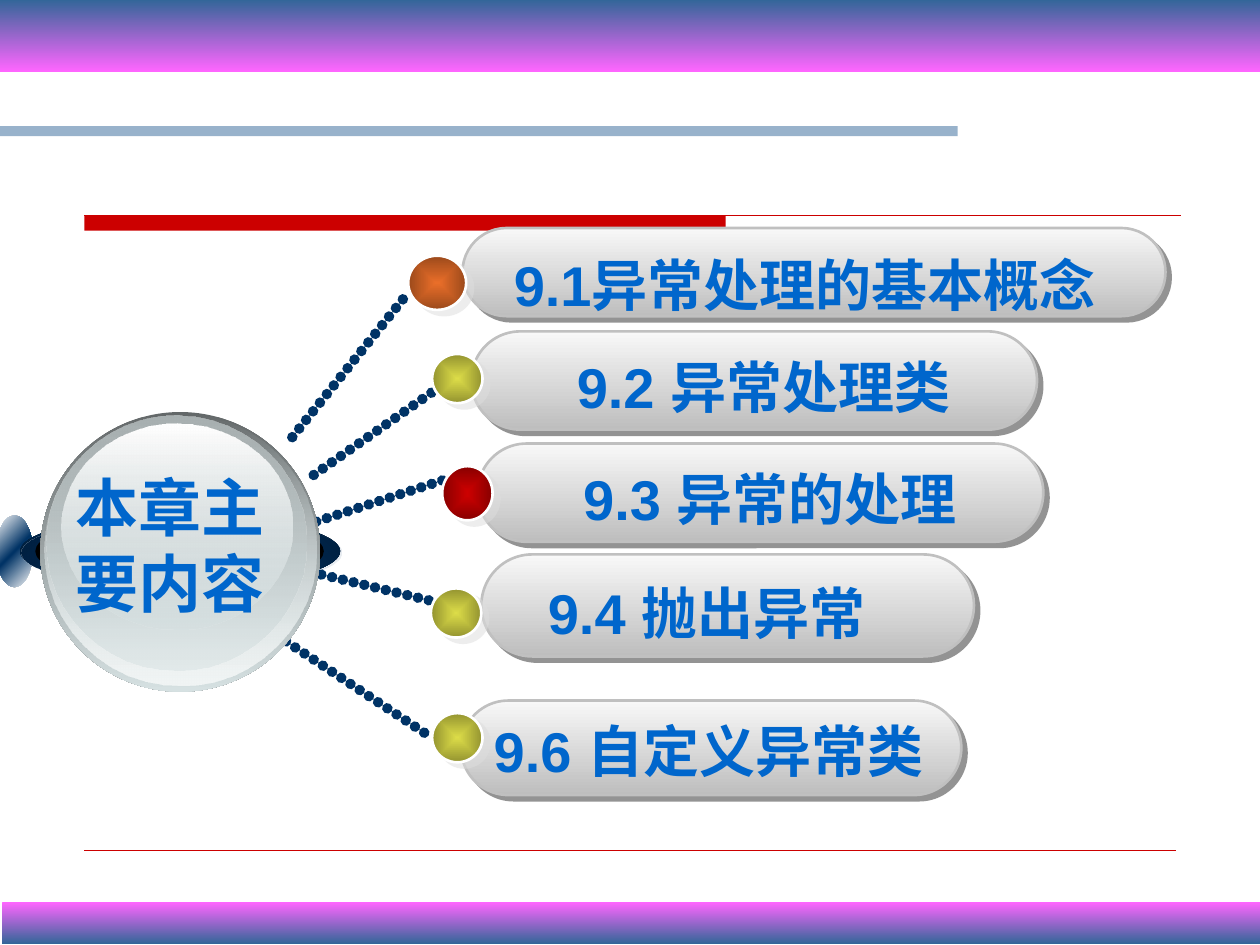
from lxml import etree
from pptx import Presentation
from pptx import util as u
from pptx.dml.color import RGBColor
from pptx.enum import shapes as kinds, text as styles
from pptx.oxml import ns

COLORS = {
    "red": "CC0000", "dark_red": "880000", "blue": "336699", "navy": "003366",
    "deep_navy": "001C37", "soft_navy": "002041", "pink": "FF66FF", "text": "0066CC",
    "white": "FFFFFF", "black": "000000", "silver": "C0C0C0",
    "pill_top": "F8F8F8", "pill_bottom": "BEBEBE",
    "pill_shadow": "292929", "dot_shadow": "DDDDDD",
    "orange": "E96E29", "dark_orange": "9B491B",
    "yellow": "DCDC48", "dark_yellow": "939330",
    "steel": "636869", "mist": "D6E1E2", "pale": "F1F5F5", "gray": "AAB2B3",
}
OVAL = kinds.MSO_SHAPE.OVAL
RECTANGLE = kinds.MSO_SHAPE.RECTANGLE
PILL = kinds.MSO_SHAPE.ROUNDED_RECTANGLE

# Pill box, label box, label, first-line indent, wrap
TOPICS = [
    ((3.67, 1.81, 5.58, 0.7), (3.98, 1.78, 4.96, 0.8), "9.1异常处理的基本概念", 0, True),
    ((3.74, 2.63, 4.49, 0.78), (4.23, 2.59, 3.5, 1.49), "9.2 异常处理类", 0.25, True),
    ((3.79, 3.52, 4.49, 0.78), (4.28, 3.48, 3.56, 0.8), "9.3 异常的处理", 0.25, True),
    ((3.82, 4.4, 3.91, 0.81), (4.25, 4.38, 2.83, 0.8), "9.4 抛出异常", 0, False),
    ((3.66, 5.56, 3.97, 0.75), (3.82, 5.48, 5.11, 0.8), "9.6 自定义异常类", 0, True),
]
DOTS = [
    ((3.24, 2.03, 0.46, 0.43), "orange"),
    ((3.43, 2.81, 0.4, 0.39), "yellow"),
    ((3.51, 3.7, 0.4, 0.43), "red"),
    ((3.42, 4.67, 0.4, 0.39), "yellow"),
    ((3.43, 5.66, 0.4, 0.39), "yellow"),
]
SPOKES = [
    ((2.32, 3.47), (3.25, 2.31)),
    ((2.49, 3.77), (3.62, 2.98)),
    ((2.51, 4.14), (3.55, 3.8)),
    ((2.55, 4.56), (3.51, 4.79)),
    ((2.27, 5.09), (3.42, 5.85)),
]
# Box, gradient stops (position, colour, opacity) and angle, from back to front
SPHERE = [
    ((-0.03, 4.09, 0.29, 0.57), [(0, "white", 100), (50, "navy", 100), (100, "white", 100)], 45),
    ((0.16, 4.09, 2.54, 0.57),
     [(0, "deep_navy", 100), (50, "navy", 100), (100, "deep_navy", 100)], 315),
    ((0.17, 4.1, 2.54, 0.57), [(0, "soft_navy", 100), (100, "navy", 0)], 45),
    ((0.28, 4.09, 2.29, 0.57), [(0, "black", 100), (100, "black", 100)], 90),
    ((0.32, 3.27, 2.22, 2.22), [(0, "steel", 100), (100, "mist", 100)], 90),
    ((0.35, 3.28, 2.16, 2.16), [(0, "mist", 0), (100, "pale", 100)], 90),
    ((0.37, 3.3, 2.06, 2.02), [(0, "gray", 100), (100, "mist", 48)], 90),
    ((0.49, 3.36, 1.83, 1.64), [(0, "white", 100), (100, "mist", 38)], 90),
]


def rgb(name):
    return RGBColor.from_string(COLORS[name])


def add_child(parent, tag, **attributes):
    element = etree.SubElement(parent, ns.qn(tag))
    for key, value in attributes.items():
        element.set(key, str(value))
    return element


def add_color(parent, name, opacity=100):
    color = add_child(parent, "a:srgbClr", val=COLORS[name])
    if opacity < 100:
        add_child(color, "a:alpha", val=opacity * 1000)


def set_gradient(shape, stops, angle=None):
    """Linear gradient, or one from the centre when no angle is given."""
    shape.fill.background()
    empty = shape._element.spPr.find(ns.qn("a:noFill"))
    gradient = etree.Element(ns.qn("a:gradFill"), rotWithShape="1")
    stop_list = add_child(gradient, "a:gsLst")
    for position, name, opacity in stops:
        add_color(add_child(stop_list, "a:gs", pos=position * 1000), name, opacity)
    if angle is None:
        center = add_child(gradient, "a:path", path="rect")
        add_child(center, "a:fillToRect", l=50000, t=50000, r=50000, b=50000)
    else:
        add_child(gradient, "a:lin", ang=angle * 60000, scaled=0)
    empty.getparent().replace(empty, gradient)


def set_shadow(shape, name, distance, angle):
    effects = shape._element.spPr.find(ns.qn("a:effectLst"))
    shadow = add_child(effects, "a:outerShdw", dist=u.Pt(distance), dir=angle * 60000,
                       algn="ctr", rotWithShape=0)
    add_color(shadow, name, 50)


def add_box(container, kind, box, line=None):
    shape = container.shapes.add_shape(kind, *map(u.Inches, box))
    shape.shadow.inherit = False
    if line:
        shape.line.color.rgb = rgb(line)
        shape.line.width = u.Pt(1.5)
    else:
        shape.line.fill.background()
    return shape


def add_line(slide, start, end, name, width, dotted=False):
    line = slide.shapes.add_connector(
        kinds.MSO_CONNECTOR.STRAIGHT, *map(u.Inches, start + end))
    line.line.color.rgb = rgb(name)
    line.line.width = u.Pt(width)
    if dotted:
        outline = line.line._ln
        outline.set("cap", "rnd")
        add_child(add_child(outline, "a:custDash"), "a:ds", d=100000, sp=5000)
    add_child(line._element.spPr, "a:effectLst")


def add_text(slide, box, words, size=32, font="Arial", spacing=1.3, indent=0, wrap=True,
             anchor=styles.MSO_ANCHOR.TOP):
    frame = slide.shapes.add_textbox(*map(u.Inches, box)).text_frame
    frame.word_wrap = wrap
    frame.vertical_anchor = anchor
    paragraph = frame.paragraphs[0]
    paragraph.text = words
    paragraph.line_spacing = spacing
    if indent:
        paragraph._p.get_or_add_pPr().set("indent", str(u.Inches(indent)))
    for run in paragraph.runs:
        run.font.name = font
        run.font.size = u.Pt(size)
        run.font.bold = True
        run.font.color.rgb = rgb("text")
        add_child(run.font._element, "a:ea", typeface="Noto Sans CJK SC")


def add_topic(slide, pill_box, label_box, label, indent, wrap):
    pill = add_box(slide, PILL, pill_box, line="silver")
    pill.adjustments[0] = 0.5
    set_gradient(pill, [(0, "pill_top", 100), (100, "pill_bottom", 100)], 90)
    set_shadow(pill, "pill_shadow", 4.2, 45)
    add_text(slide, label_box, label, indent=indent, wrap=wrap)


def add_dot(slide, box, name):
    dot = add_box(slide, OVAL, box, line="white")
    set_gradient(dot, [(0, name, 100), (100, "dark_" + name, 100)])
    set_shadow(dot, "dot_shadow", 5, 37)


def add_banner(slide, box, top, bottom):
    banner = add_box(slide, RECTANGLE, box)
    set_gradient(banner, [(0, top, 100), (100, bottom, 100)], 90)


def add_rules(slide):
    bar = add_box(slide, RECTANGLE, (0.67, 1.71, 5.09, 0.12))
    bar.fill.solid()
    bar.fill.fore_color.rgb = rgb("red")
    add_line(slide, (0.67, 1.71), (9.37, 1.71), "red", 0.75)
    add_line(slide, (0.67, 6.75), (9.33, 6.75), "red", 0.25)
    stripe = add_box(slide, RECTANGLE, (0, 1, 7.6, 0.08))
    set_gradient(stripe, [(0, "blue", 50), (100, "blue", 50)], 0)


def add_sphere(slide):
    group = slide.shapes.add_group_shape()
    for box, stops, angle in SPHERE:
        set_gradient(add_box(group, OVAL, box), stops, angle)


def main():
    presentation = Presentation()
    presentation.slide_width, presentation.slide_height = u.Inches(10), u.Inches(7.5)
    slide = presentation.slides.add_slide(presentation.slide_layouts[6])

    # Page frame
    add_rules(slide)
    add_banner(slide, (0.02, 7.16, 10, 0.33), "pink", "blue")
    add_banner(slide, (0, 0, 10, 0.57), "blue", "pink")

    # Hub with its spokes
    for start, end in SPOKES:
        add_line(slide, start, end, "navy", 6, dotted=True)
    add_sphere(slide)
    add_text(slide, (0.5, 3.42, 1.9, 1.8), "本章主\v要内容", size=36, font="Noto Sans CJK SC",
             spacing=1, anchor=styles.MSO_ANCHOR.MIDDLE)

    # Chapter topics
    for topic in TOPICS:
        add_topic(slide, *topic)
    for box, name in DOTS:
        add_dot(slide, box, name)

    presentation.save("out.pptx")


if __name__ == "__main__":
    main()
